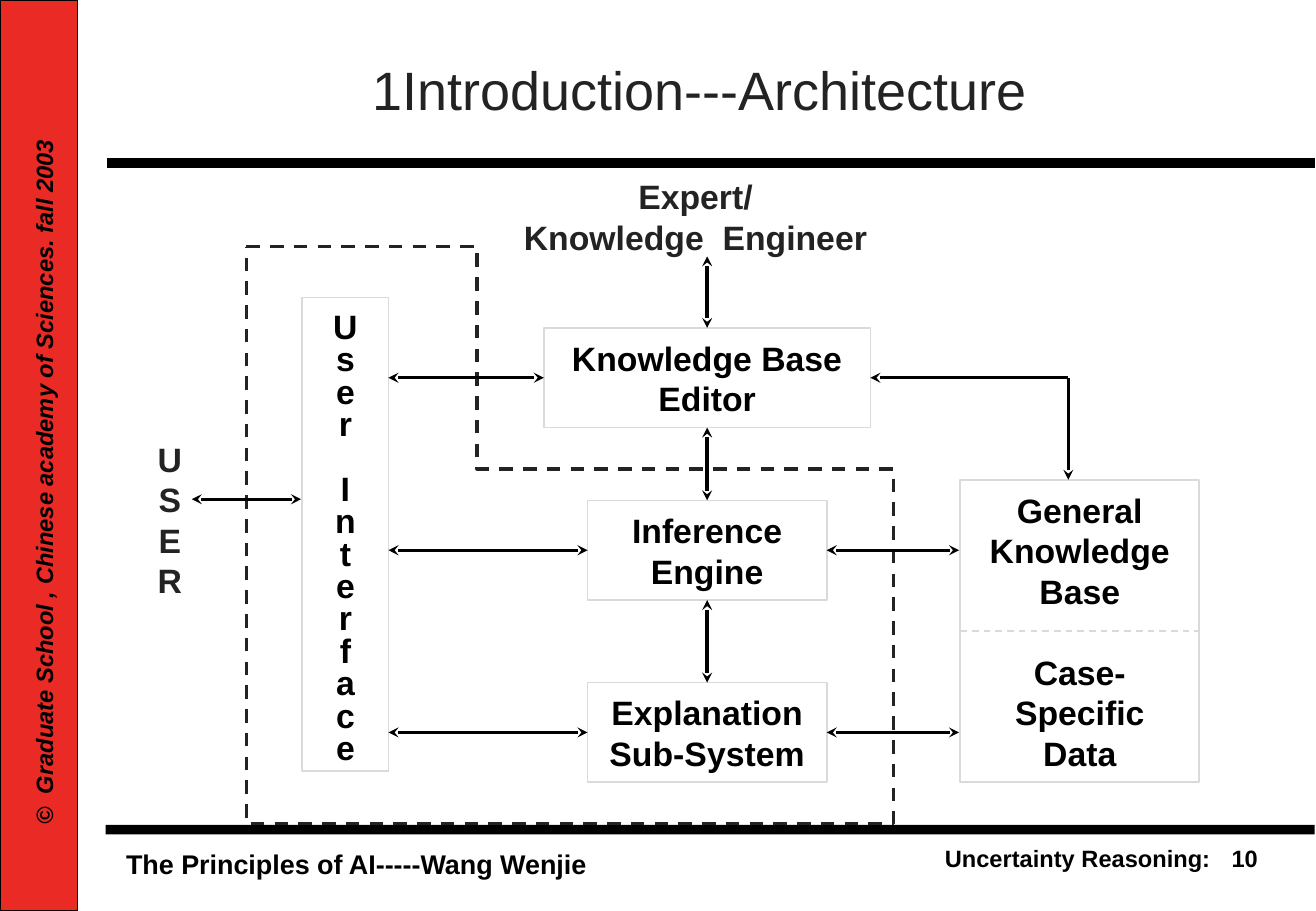
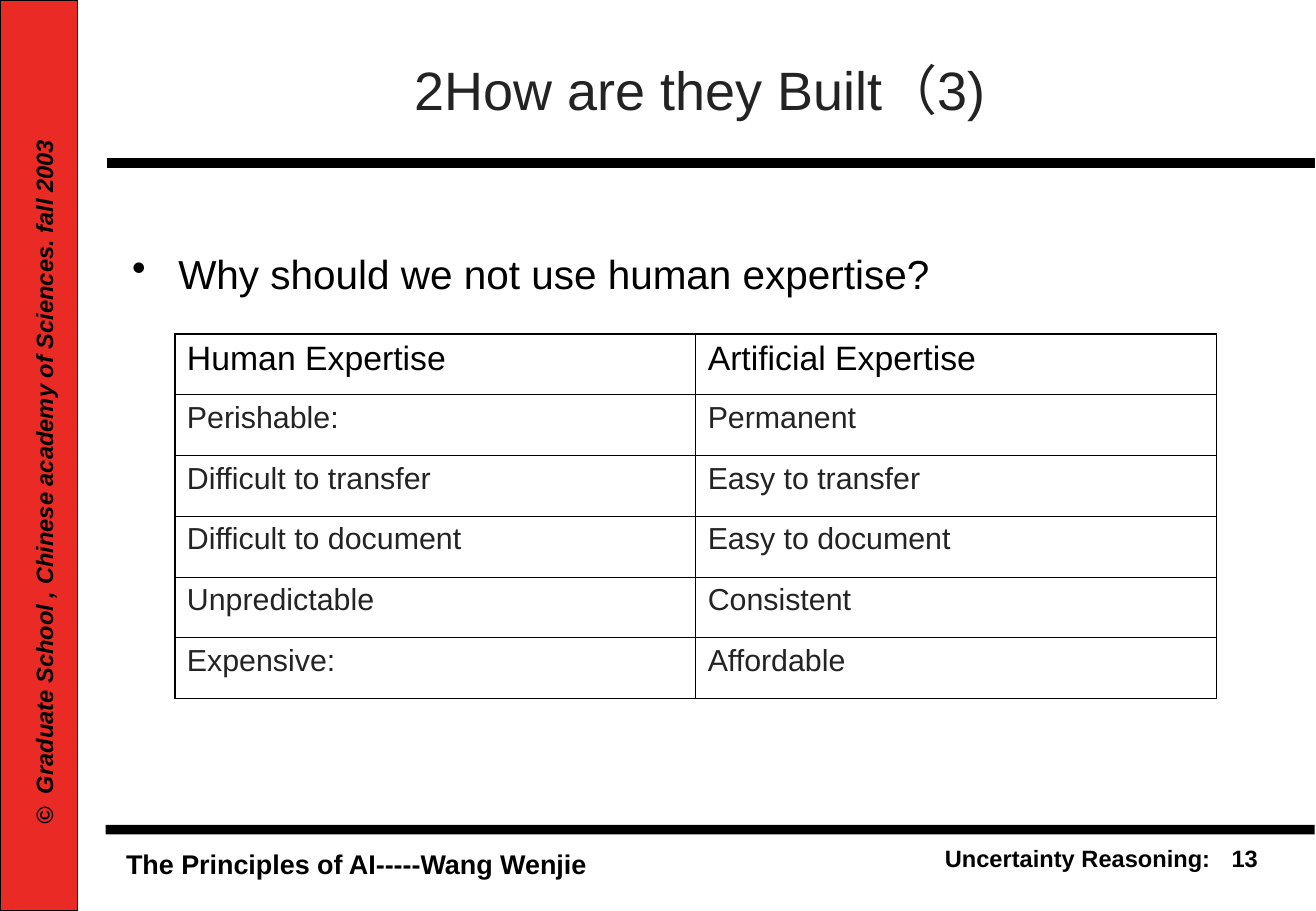
import lxml.etree
import pptx
import pptx.dml.color
import pptx.enum.dml
import pptx.enum.shapes
import pptx.enum.text
import pptx.oxml.ns
import pptx.util

RGB = pptx.dml.color.RGBColor
BLACK = RGB(0x00, 0x00, 0x00)
INK = RGB(0x23, 0x23, 0x23)
RED = RGB(0xE9, 0x2A, 0x25)
GREY = RGB(0xDA, 0xDA, 0xDA)
FONT = "Arial"
LEFT = pptx.enum.text.PP_ALIGN.LEFT
CENTER = pptx.enum.text.PP_ALIGN.CENTER
RIGHT = pptx.enum.text.PP_ALIGN.RIGHT
MIDDLE = pptx.enum.text.MSO_ANCHOR.MIDDLE
RECT = pptx.enum.shapes.MSO_SHAPE.RECTANGLE
STRAIGHT = pptx.enum.shapes.MSO_CONNECTOR.STRAIGHT
DASH = pptx.enum.dml.MSO_LINE.DASH
Pt = pptx.util.Pt
qn = pptx.oxml.ns.qn
TOP_SIDE, LEFT_SIDE, BOTTOM_SIDE, RIGHT_SIDE = range(4)

# The slide is a square grid of 108.4 columns by 75 rows.
U = pptx.util.Inches(0.1)
COLS, ROWS = 108.4, 75


def write(tf, lines, size, color=BLACK, bold=False, align=LEFT, leading=None):
    """Write one paragraph a line; an empty line becomes space before the next."""
    tf.word_wrap = True
    p, gap = None, False
    for line in lines:
        if not line:
            gap = True
            continue
        p = tf.add_paragraph() if p is not None else tf.paragraphs[0]
        p.alignment = align
        if leading:
            p.line_spacing = Pt(leading)
        if gap:
            p.space_before = Pt(leading)
            gap = False
        r = p.add_run()
        r.text = line
        r.font.name = FONT
        r.font.size = Pt(size)
        r.font.bold = bold
        r.font.color.rgb = color


def add_line(s, begin, end, width, color=BLACK, heads=()):
    """Draw a line; each end is a grid point or a (shape, side) pair."""
    points = [(0, 0) if hasattr(e[0], "text_frame") else e for e in (begin, end)]
    c = s.shapes.add_connector(STRAIGHT, *[int(v * U) for pt in points for v in pt])
    if hasattr(begin[0], "text_frame"):
        c.begin_connect(*begin)
    if hasattr(end[0], "text_frame"):
        c.end_connect(*end)
    c.line.width = Pt(width)
    c.line.color.rgb = color
    ln = c.line._get_or_add_ln()
    for head in heads:
        lxml.etree.SubElement(ln, qn("a:" + head), type="stealth")
    lxml.etree.SubElement(c._element.spPr, qn("a:effectLst"))
    return c


prs = pptx.Presentation()
prs.slide_width = int(COLS * U)
prs.slide_height = ROWS * U

# Shared frame: red band, rules, title and footers
slides = []
for title, number in [("1Introduction---Architecture", "10"),
                      ("2How are they Built（3)", "13")]:
    s = prs.slides.add_slide(prs.slide_layouts[6])
    slides.append(s)

    for x, y, w, h, fill in [(8.7, 67.9, 99.6, 0.8, BLACK), (0, 0, 6.4, ROWS, RED)]:
        sp = s.shapes.add_shape(RECT, int(x * U), int(y * U), int(w * U), int(h * U))
        sp.shadow.inherit = False
        sp.fill.solid()
        sp.fill.fore_color.rgb = fill
        sp.line.fill.background()
    sp.line.color.rgb = BLACK
    sp.line.width = Pt(1)
    add_line(s, (8.8, 13.4), (108.3, 13.4), 6)

    for x, y, w, h, line, size, color, bold, align in [
        (9.4, 69.3, 45, 3.6, "The Principles of AI-----Wang Wenjie", 16, BLACK, True, LEFT),
        (70.7, 69, 30, 3.3, "Uncertainty Reasoning:", 14, BLACK, True, RIGHT),
        (98.6, 69, 6, 3.3, number, 14, BLACK, True, RIGHT),
        (11.7, 2.2, 91.9, 10.3, title, 32, INK, False, CENTER),
        (-27.4, 38, 62, 3.4, "©  Graduate School , Chinese academy of Sciences. fall 2003",
         14, BLACK, True, CENTER),
    ]:
        sp = s.shapes.add_textbox(int(x * U), int(y * U), int(w * U), int(h * U))
        sp.text_frame.vertical_anchor = MIDDLE
        write(sp.text_frame, [line], size, color, bold, align)
    sp.rotation = 270
    sp.text_frame.paragraphs[0].runs[0].font.italic = True

# Architecture diagram
s = slides[0]
for x, y, w, h, lines in [
    (11, 35.6, 6, 14.4, "USER"),
    (41.3, 14, 32, 7.7, ["Expert/", "Knowledge  Engineer"]),
]:
    sp = s.shapes.add_textbox(int(x * U), int(y * U), int(w * U), int(h * U))
    write(sp.text_frame, lines, 20, INK, True, CENTER, 24)

boxes = []
for x, y, w, h, lines, leading in [
    (24.9, 24.5, 7.1, 39, [*"User", "", *"Interface"], 19.2),
    (44.8, 27, 26.9, 8.2, ["Knowledge Base", "Editor"], 24),
    (48.4, 41.2, 19.7, 8.2, ["Inference", "Engine"], 24),
    (48.4, 56.2, 19.7, 8.2, ["Explanation", "Sub-System"], 24),
    (79.1, 39.5, 19.7, 24.9,
     ["General", "Knowledge", "Base", "", "Case-", "Specific", "Data"], 24),
]:
    sp = s.shapes.add_shape(RECT, int(x * U), int(y * U), int(w * U), int(h * U))
    sp.shadow.inherit = False
    sp.fill.background()
    sp.line.color.rgb = GREY
    sp.line.width = Pt(1)
    sp.text_frame.vertical_anchor = MIDDLE
    write(sp.text_frame, lines, 20, BLACK, True, CENTER, leading)
    boxes.append(sp)
interface, editor, engine, explanation, knowledge = boxes
interface.text_frame.margin_top = int(1.5 * U)

fb = s.shapes.build_freeform(203, 203, scale=U / 10)
fb.add_line_segments([(393, 203), (393, 386), (736, 386), (736, 678), (203, 678)])
boundary = fb.convert_to_shape()
boundary.shadow.inherit = False
boundary.fill.background()
boundary.line.color.rgb = INK
boundary.line.width = Pt(2)
boundary.line.dash_style = DASH

both = ("headEnd", "tailEnd")
corner = (88, 31.1)
for begin, end, heads in [
    ((24.8, 41.1), (15.8, 41.1), both),
    ((editor, LEFT_SIDE), (32, 31.1), both),
    ((engine, LEFT_SIDE), (32, 45.3), both),
    ((explanation, LEFT_SIDE), (32, 60.3), both),
    ((79, 45.3), (engine, RIGHT_SIDE), both),
    ((79, 60.3), (explanation, RIGHT_SIDE), both),
    ((editor, TOP_SIDE), (58.25, 21.1), both),
    ((engine, TOP_SIDE), (editor, BOTTOM_SIDE), both),
    ((explanation, TOP_SIDE), (engine, BOTTOM_SIDE), both),
    ((editor, RIGHT_SIDE), corner, both[:1]),
    (corner, (88, 39.5), both[1:]),
]:
    add_line(s, begin, end, 2, heads=heads)
divider = add_line(s, (knowledge, LEFT_SIDE), (knowledge, RIGHT_SIDE), 1, GREY)
divider.line.dash_style = DASH

# Expertise comparison
s = slides[1]
sp = s.shapes.add_textbox(int(9.9 * U), 20 * U, int(93.9 * U), 6 * U)
write(sp.text_frame, ["Why should we not use human expertise?"], 24)
pPr = sp.text_frame.paragraphs[0]._p.get_or_add_pPr()
pPr.set("marL", str(int(3.8 * U)))
pPr.set("indent", str(int(-3.8 * U)))
lxml.etree.SubElement(pPr, qn("a:buChar"), char="•")

rows = [
    ("Human Expertise", "Artificial Expertise"),
    ("Perishable:", "Permanent"),
    ("Difficult to transfer", "Easy to transfer"),
    ("Difficult to document", "Easy to document"),
    ("Unpredictable", "Consistent"),
    ("Expensive:", "Affordable"),
]
frame = s.shapes.add_table(len(rows), 2, int(14.4 * U), int(27.5 * U),
                           int(85.8 * U), len(rows) * 5 * U)
table = frame.table
table.first_row = table.horz_banding = False
for i, row in enumerate(rows):
    for j, value in enumerate(row):
        cell = table.cell(i, j)
        cell.fill.background()
        write(cell.text_frame, [value], 18 if i else 20, INK if i else BLACK)
        tcPr = cell._tc.get_or_add_tcPr()
        outer = {"lnL": j == 0, "lnR": j == 1, "lnT": i == 0, "lnB": i == len(rows) - 1}
        for k, (side, is_outer) in enumerate(outer.items()):
            ln = lxml.etree.Element(qn("a:" + side), w=str(Pt(1.08 if is_outer else 0.45)))
            fill = lxml.etree.SubElement(ln, qn("a:solidFill"))
            lxml.etree.SubElement(fill, qn("a:srgbClr"), val=str(BLACK))
            tcPr.insert(k, ln)

prs.save("out.pptx")
